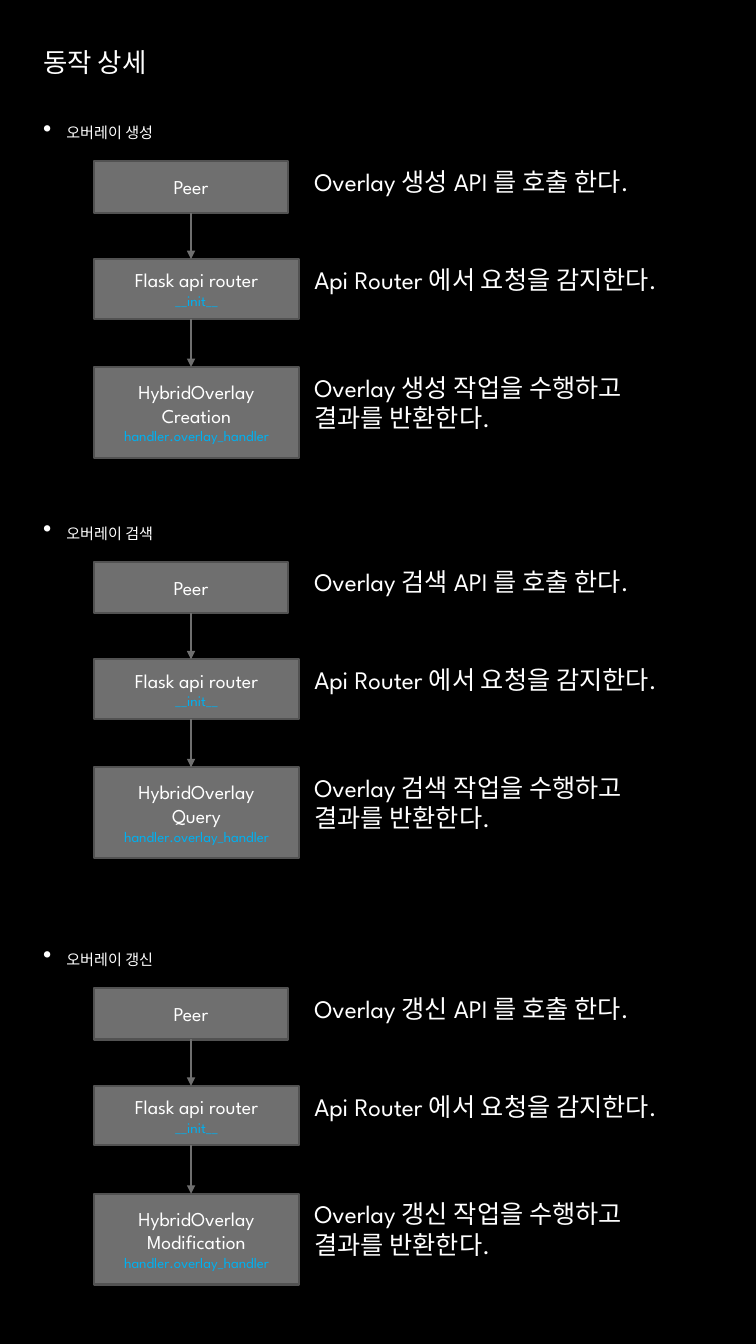
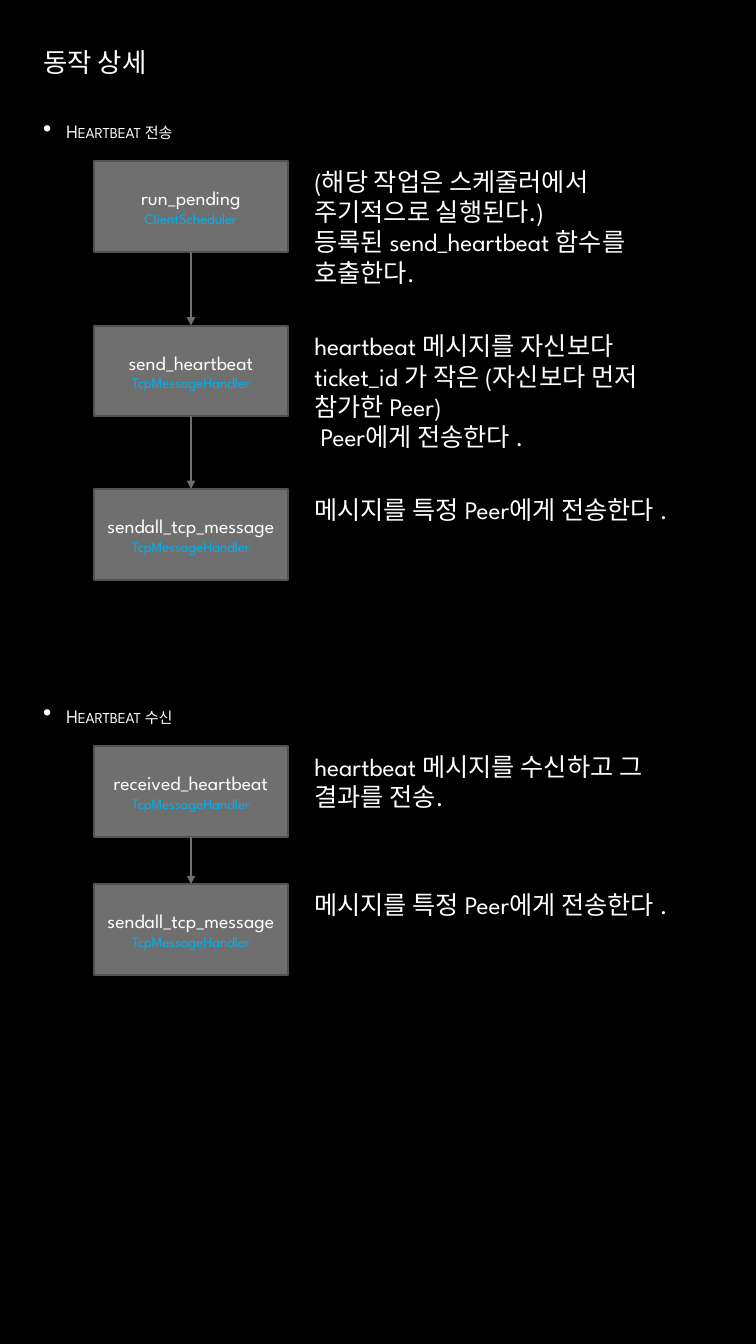
"""Build two dark slides that detail overlay and heartbeat call flows."""
from lxml import etree
from pptx import Presentation
from pptx.dml.color import RGBColor
from pptx.enum import shapes, text
from pptx.oxml import ns
from pptx.util import Inches, Pt

BLACK = RGBColor(0x00, 0x00, 0x00)
WHITE = RGBColor(0xFF, 0xFF, 0xFF)
SILVER = RGBColor(0xBF, 0xBF, 0xBF)
GREY = RGBColor(0x6F, 0x6F, 0x6F)
EDGE = RGBColor(0x52, 0x52, 0x52)
BLUE = RGBColor(0x00, 0xB0, 0xF0)
LATIN = "League Spartan"
KOREAN = "Noto Sans CJK KR"

TITLE = "동작 상세"
MARGIN, CONTENT_WIDTH = 0.33, 6.86
BOX_LEFT, NARROW, WIDE = 0.93, 1.93, 2.04
NOTE_LEFT = 3.02
FIRST_NOTE, OTHER_NOTE = 3.82, 3.95
AXIS = BOX_LEFT + NARROW / 2
FIRST_STEP = 0.46


def overlay_flow(top, action, operation):
    return {
        "top": top,
        "heading": f"오버레이 {action}",
        "steps": [
            (0, NARROW, 0.51, ["Peer"], None,
             [f"Overlay {action} API 를 호출 한다."], 1),
            (0.97, WIDE, 0.59, ["Flask api router"], "__init__",
             ["Api Router 에서 요청을 감지한다."], 1),
            (2.04, WIDE, 0.9, ["HybridOverlay", operation],
             "handler.overlay_handler",
             [f"Overlay {action} 작업을 수행하고 결과를 반환한다."], 2),
        ],
    }


def heartbeat_step(offset, function, owner, note, rows):
    return offset, NARROW, 0.9, [function], owner, note, rows


def send_step(offset):
    return heartbeat_step(offset, "sendall_tcp_message", "TcpMessageHandler",
                          ["메시지를 특정 Peer에게 전송한다 ."], 2)


PAGES = [
    [
        overlay_flow(1.14, "생성", "Creation"),
        overlay_flow(5.11, "검색", "Query"),
        overlay_flow(9.34, "갱신", "Modification"),
    ],
    [
        {
            "top": 1.14,
            "heading": "Heartbeat 전송",
            "steps": [
                heartbeat_step(0, "run_pending", "ClientScheduler",
                               ["(해당 작업은 스케줄러에서 주기적으로 실행된다.)",
                                "등록된 send_heartbeat 함수를 호출한다."], 4),
                heartbeat_step(1.63, "send_heartbeat", "TcpMessageHandler",
                               ["heartbeat 메시지를 자신보다 ticket_id 가 작은 "
                                "(자신보다 먼저 참가한 Peer)",
                                " Peer에게 전송한다 ."], 4),
                send_step(3.25),
            ],
        },
        {
            "top": 6.94,
            "heading": "Heartbeat 수신",
            "steps": [
                heartbeat_step(0, "received_heartbeat", "TcpMessageHandler",
                               ["heartbeat 메시지를 수신하고 그 결과를 전송."], 2),
                send_step(1.37),
            ],
        },
    ],
]


def add_element(parent, tag, **attributes):
    return etree.SubElement(parent, ns.qn(tag), **attributes)


def write(para, content, size, color=WHITE, font=LATIN, fade=False, small_caps=False):
    span = para.add_run()
    span.text = content
    span.font.size = Pt(size)
    span.font.name = font
    if fade:
        span.font.fill.gradient()
        span.font.fill.gradient_angle = 270
        for stop, shade in zip(span.font.fill.gradient_stops, (WHITE, SILVER)):
            stop.color.rgb = shade
    else:
        span.font.color.rgb = color
    properties = span._r.get_or_add_rPr()
    add_element(properties, "a:ea", typeface=KOREAN)
    if small_caps:
        properties.set("cap", "small")


def write_lines(frame, lines, align=None):
    for index, (content, size, color) in enumerate(lines):
        para = frame.add_paragraph() if index else frame.paragraphs[0]
        para.alignment = align
        write(para, content, size, color)


def add_text_box(page, left, top, width, height):
    box = page.shapes.add_textbox(*map(Inches, (left, top, width, height)))
    box.text_frame.word_wrap = True
    return box.text_frame


def add_title(page):
    frame = add_text_box(page, MARGIN, 0.4, CONTENT_WIDTH, 0.42)
    frame.vertical_anchor = text.MSO_ANCHOR.MIDDLE
    write(frame.paragraphs[0], TITLE, 18.9, font=KOREAN, fade=True)


def add_heading(page, content, top):
    para = add_text_box(page, MARGIN, top, CONTENT_WIDTH, 3.14).paragraphs[0]
    para.space_after = Pt(4.5)
    properties = para._p.get_or_add_pPr()
    properties.set("marL", str(Inches(0.23)))
    properties.set("indent", str(Inches(-0.23)))
    bullet_color = add_element(properties, "a:buClr")
    add_element(bullet_color, "a:srgbClr", val=str(WHITE))
    add_element(properties, "a:buSzPct", val="130000")
    add_element(properties, "a:buChar", char="•")
    write(para, content, 13.5, fade=True, small_caps=True)


def add_step_box(page, top, width, height, names, owner):
    box = page.shapes.add_shape(shapes.MSO_SHAPE.RECTANGLE,
                                *map(Inches, (BOX_LEFT, top, width, height)))
    box.shadow.inherit = False
    box.fill.solid()
    box.fill.fore_color.rgb = GREY
    box.line.color.rgb = EDGE
    box.line.width = Pt(1.5)
    frame = box.text_frame
    frame.word_wrap = True
    frame.vertical_anchor = text.MSO_ANCHOR.MIDDLE
    lines = [(name, 14, WHITE) for name in names]
    if owner:
        lines.append((owner, 10.5, BLUE))
    write_lines(frame, lines, text.PP_ALIGN.CENTER)
    return box


def add_note(page, top, width, paragraphs, rows):
    frame = add_text_box(page, NOTE_LEFT, top, width, 0.1 + 0.3 * rows)
    frame.auto_size = text.MSO_AUTO_SIZE.SHAPE_TO_FIT_TEXT
    write_lines(frame, [(content, 18, WHITE) for content in paragraphs])


def add_arrow(page, upper, lower):
    arrow = page.shapes.add_connector(
        shapes.MSO_CONNECTOR.STRAIGHT,
        Inches(AXIS), upper.top + upper.height, Inches(AXIS), lower.top)
    if upper.width == Inches(NARROW):
        arrow.begin_connect(upper, 2)
    if lower.width == Inches(NARROW):
        arrow.end_connect(lower, 0)
    arrow.line.color.rgb = GREY
    arrow.line.width = Pt(2)
    add_element(arrow.line._get_or_add_ln(), "a:tailEnd", type="triangle")
    add_element(arrow._element.spPr, "a:effectLst")


def add_flow(page, flow):
    add_heading(page, flow["heading"], flow["top"])
    previous = None
    for offset, width, height, names, owner, note, rows in flow["steps"]:
        top = flow["top"] + FIRST_STEP + offset
        box = add_step_box(page, top, width, height, names, owner)
        add_note(page, top, OTHER_NOTE if previous else FIRST_NOTE, note, rows)
        if previous:
            add_arrow(page, previous, box)
        previous = box


def main():
    deck = Presentation()
    deck.slide_width, deck.slide_height = Inches(7.5), Inches(13.33)
    for flows in PAGES:
        page = deck.slides.add_slide(deck.slide_layouts[6])
        page.background.fill.solid()
        page.background.fill.fore_color.rgb = BLACK
        add_title(page)
        for flow in flows:
            add_flow(page, flow)
    deck.save("out.pptx")


if __name__ == "__main__":
    main()
